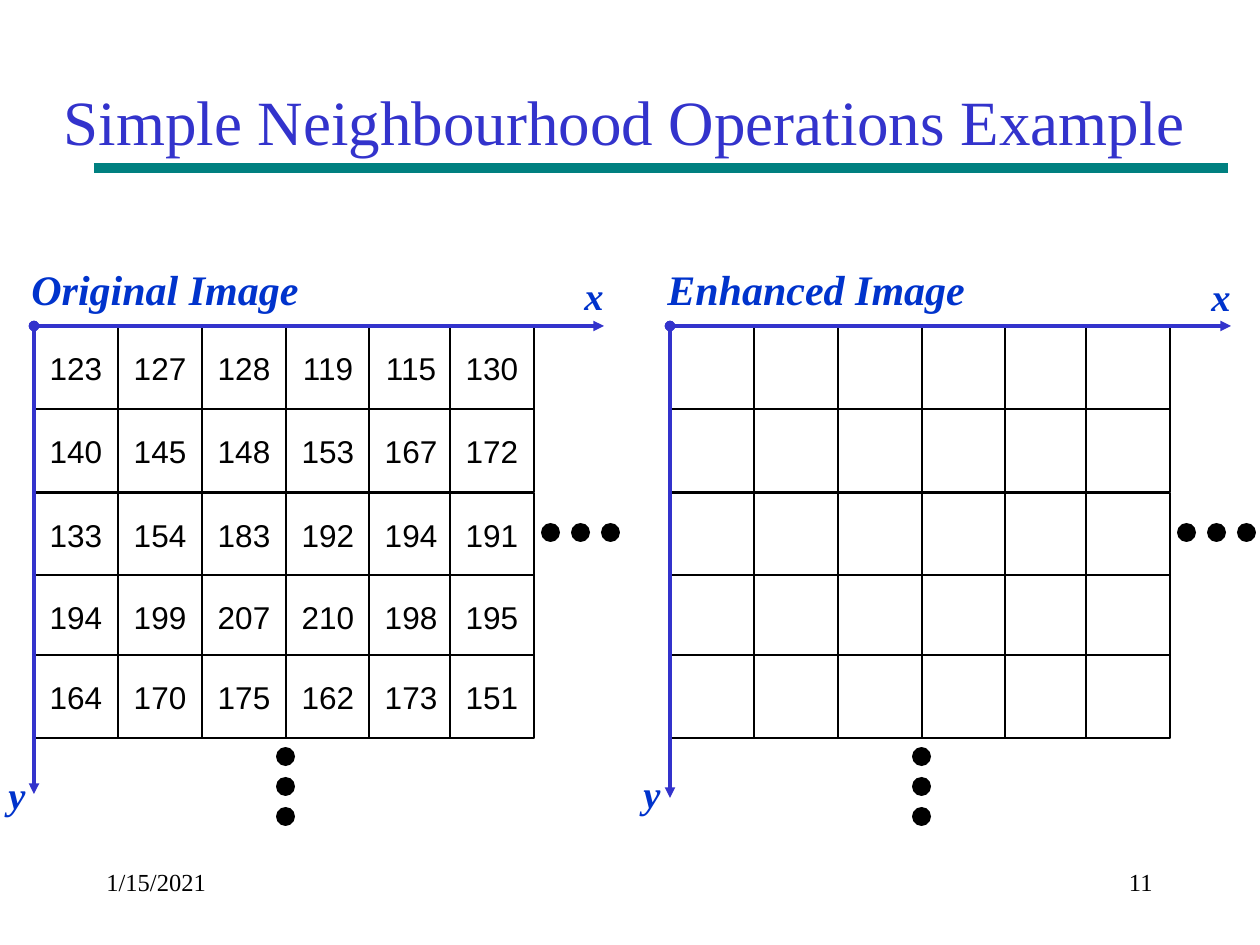
"""Build the neighbourhood operations slide with two pixel grids."""
from dataclasses import dataclass
from typing import Optional

from lxml.etree import SubElement
from pptx import Presentation
from pptx.dml.color import RGBColor
from pptx.enum.shapes import MSO_CONNECTOR as CONN, MSO_SHAPE as SHAPE
from pptx.enum.text import MSO_ANCHOR as ANCHOR, PP_ALIGN as ALIGN
from pptx.oxml.ns import qn
from pptx.util import Pt

EMU_PER_PX = 914400 / 126
SERIF, SANS = "Times New Roman", "Arial"
BLACK, WHITE, INDIGO, BLUE, TEAL = "000000", "FFFFFF", "3333CC", "0033CC", "008080"
COLS, ROWS = (0, 84, 168, 252, 335, 416), (0, 83, 167, 249, 329)
CELL_W, CELL_H = 84, 83
DOT, DOT_STEP = 19, 30
PIXELS = (
    (123, 127, 128, 119, 115, 130),
    (140, 145, 148, 153, 167, 172),
    (133, 154, 183, 192, 194, 191),
    (194, 199, 207, 210, 198, 195),
    (164, 170, 175, 162, 173, 151),
)


@dataclass
class Label:
    text: str
    x: int
    y: int
    w: int
    h: int
    size: int
    color: str = BLUE
    emphasis: bool = True
    align: Optional[ALIGN] = None
    anchor: ANCHOR = ANCHOR.TOP
    wrap: bool = False


@dataclass
class Panel:
    x: int
    y: int
    x_end: int
    y_end: int
    labels: tuple
    values: Optional[tuple] = None


PANELS = (
    Panel(34, 326, 604, 794, (
        Label("Original Image", 19, 257, 292, 63, 24),
        Label("x", 572, 266, 44, 59, 22),
        Label("y", -4, 765, 43, 59, 22)), PIXELS),
    Panel(670, 326, 1231, 798, (
        Label("Enhanced Image", 655, 257, 323, 63, 24),
        Label("x", 1199, 267, 44, 59, 22),
        Label("y", 631, 764, 43, 59, 22))),
)
HEADINGS = (
    Label("1/15/2021", 94, 861, 262, 63, 14, BLACK, False, wrap=True),
    Label("11", 903, 861, 262, 63, 14, BLACK, False, ALIGN.RIGHT, wrap=True),
    Label("Simple Neighbourhood Operations Example", 31, 42, 1187, 157, 36,
          INDIGO, False, ALIGN.CENTER, ANCHOR.MIDDLE, True),
)


def px(n: int) -> int:
    """Convert pixels to EMU."""
    return round(n * EMU_PER_PX)


def rgb(color: str) -> RGBColor:
    """Turn a hex string into a colour."""
    return RGBColor.from_string(color)


def style_font(font, name: str, size: int, color: str, emphasis: bool = False) -> None:
    """Set the face, size and colour of a font."""
    font.name, font.size = name, Pt(size)
    font.bold = font.italic = emphasis
    font.color.rgb = rgb(color)


def add_label(slide, label: Label) -> None:
    """Draw one text box."""
    tb = slide.shapes.add_textbox(*map(px, (label.x, label.y, label.w, label.h)))
    tf = tb.text_frame
    tf.word_wrap, tf.vertical_anchor = label.wrap, label.anchor
    p = tf.paragraphs[0]
    p.text, p.alignment = label.text, label.align
    style_font(p.runs[0].font, SERIF, label.size, label.color, label.emphasis)


def add_filled(slide, kind: SHAPE, x: int, y: int, w: int, h: int, fill: str):
    """Draw a filled shape without outline or shadow."""
    sp = slide.shapes.add_shape(kind, *map(px, (x, y, w, h)))
    sp.shadow.inherit = False
    sp.fill.solid()
    sp.fill.fore_color.rgb = rgb(fill)
    sp.line.fill.background()
    return sp


def add_cell(slide, x: int, y: int, value: Optional[int]) -> None:
    """Draw one pixel cell, with its value when it has one."""
    sp = add_filled(slide, SHAPE.RECTANGLE, x, y, CELL_W, CELL_H, WHITE)
    sp.line.color.rgb, sp.line.width = rgb(BLACK), Pt(1)
    if value is None:
        return
    tf = sp.text_frame
    tf.word_wrap, tf.vertical_anchor = False, ANCHOR.MIDDLE
    p = tf.paragraphs[0]
    p.text, p.alignment = str(value), ALIGN.CENTER
    style_font(p.runs[0].font, SANS, 18, BLACK)


def add_line(slide, x1: int, y1: int, x2: int, y2: int, color: str,
             width: int, axis: bool = False) -> None:
    """Draw a straight line, with a dot and an arrowhead if it is an axis."""
    cn = slide.shapes.add_connector(CONN.STRAIGHT, *map(px, (x1, y1, x2, y2)))
    cn.line.color.rgb, cn.line.width = rgb(color), Pt(width)
    if axis:
        ln = cn.line._get_or_add_ln()
        SubElement(ln, qn("a:headEnd"), type="oval")
        SubElement(ln, qn("a:tailEnd"), type="triangle")
    SubElement(cn._element.spPr, qn("a:effectLst"))


def add_dots(slide, x: int, y: int, dx: int, dy: int) -> None:
    """Draw a three-dot ellipsis."""
    for i in range(3):
        add_filled(slide, SHAPE.OVAL, x + i * dx, y + i * dy, DOT, DOT, BLACK)


def add_panel(slide, panel: Panel) -> None:
    """Draw a pixel grid with its axes, labels and ellipses."""
    for r, dy in enumerate(ROWS):
        for c, dx in enumerate(COLS):
            value = panel.values[r][c] if panel.values else None
            add_cell(slide, panel.x + dx, panel.y + dy, value)
    add_line(slide, panel.x, panel.y, panel.x_end, panel.y, INDIGO, 2, True)
    add_line(slide, panel.x, panel.y, panel.x, panel.y_end, INDIGO, 2, True)
    for label in panel.labels:
        add_label(slide, label)
    add_dots(slide, panel.x + 507, panel.y + 197, DOT_STEP, 0)
    add_dots(slide, panel.x + 242, panel.y + 421, 0, DOT_STEP)


def main() -> None:
    """Build and save the slide."""
    prs = Presentation()
    prs.slide_width, prs.slide_height = px(1260), px(945)
    slide = prs.slides.add_slide(prs.slide_layouts[6])
    for label in HEADINGS:
        add_label(slide, label)
    for panel in PANELS:
        add_panel(slide, panel)
    add_line(slide, 94, 168, 1228, 168, TEAL, 6)
    prs.save("out.pptx")


if __name__ == "__main__":
    main()
